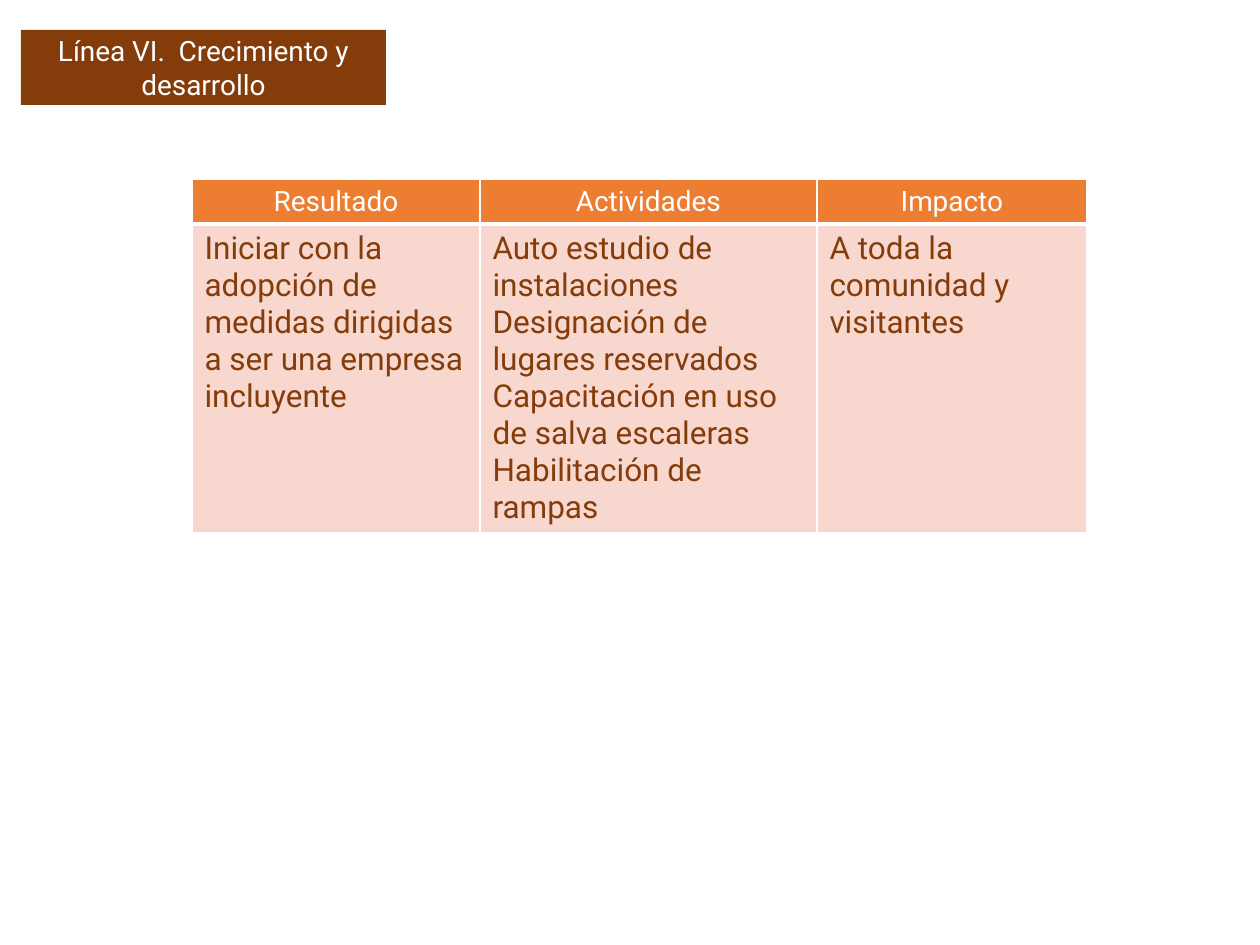
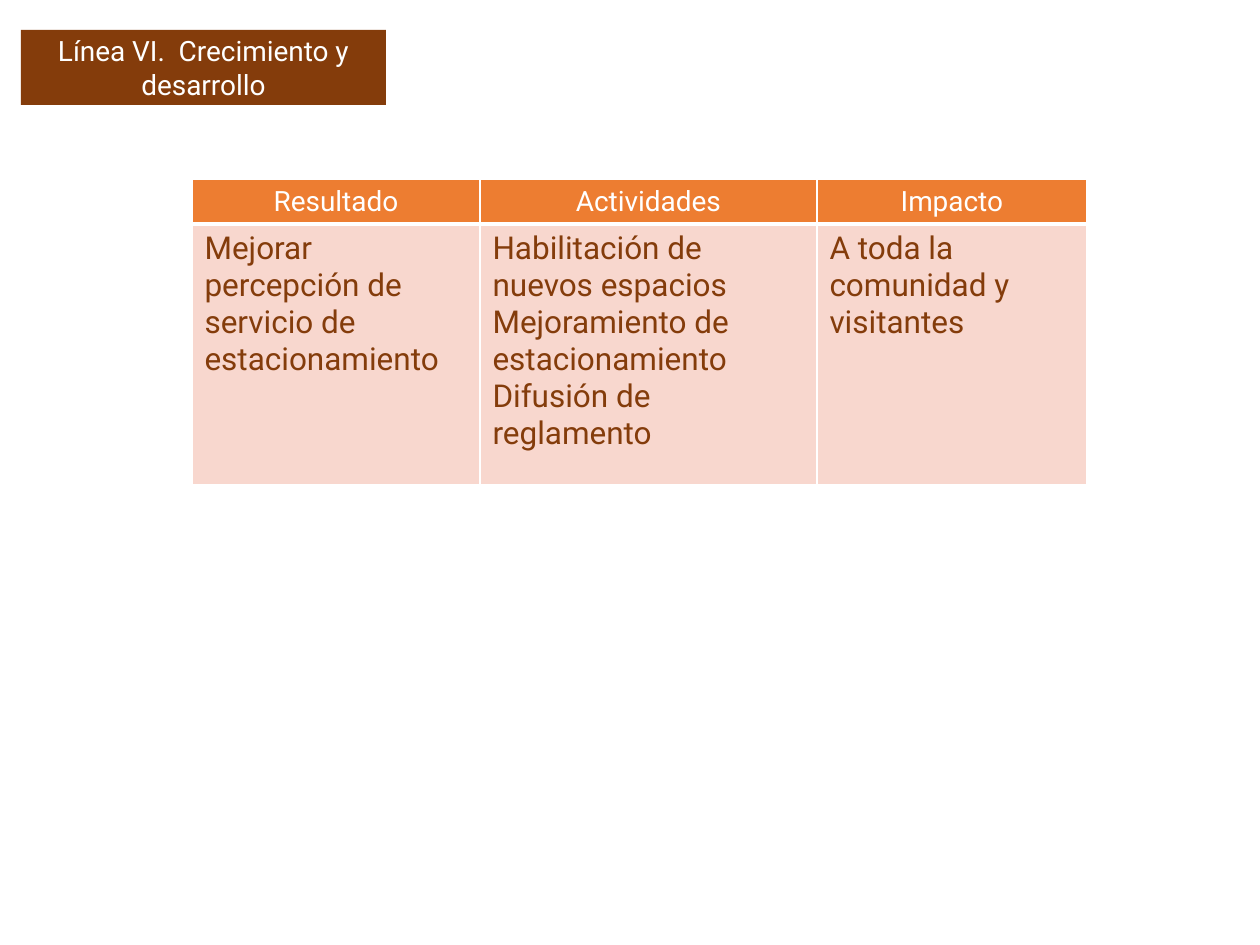
from lxml import etree
from pptx import Presentation
from pptx.dml.color import RGBColor
from pptx.enum.shapes import MSO_SHAPE
from pptx.enum.text import MSO_ANCHOR, PP_ALIGN
from pptx.oxml.ns import qn
from pptx.util import Emu, Pt

RECT = MSO_SHAPE.RECTANGLE
MIDDLE = MSO_ANCHOR.MIDDLE
LEFT, CENTER = PP_ALIGN.LEFT, PP_ALIGN.CENTER

PX = 914400 // 126
FONT = "Roboto"
BROWN = RGBColor(0x84, 0x3C, 0x0B)
ORANGE = RGBColor(0xED, 0x7D, 0x31)
PINK = RGBColor(0xF8, 0xD7, 0xCE)
WHITE = RGBColor(0xFF, 0xFF, 0xFF)

TITLE = "Línea VI.  Crecimiento y desarrollo"
HEADERS = ["Resultado", "Actividades", "Impacto"]
COLUMN_WIDTHS = [288, 337, 270]
ROW_HEIGHTS = [44, 261]
IMPACT = "A toda la comunidad y visitantes"
GOALS = [
    ("Iniciar con la adopción de medidas dirigidas a ser una empresa incluyente",
     ["Auto estudio de instalaciones",
      "Designación de lugares reservados",
      "Capacitación en uso de salva escaleras",
      "Habilitación de rampas"]),
    ("Mejorar percepción de servicio de estacionamiento",
     ["Habilitación de nuevos espacios",
      "Mejoramiento de estacionamiento",
      "Difusión de reglamento"]),
]


def px(n):
    return Emu(n * PX)


def write(tf, lines, size, color, align):
    tf.text = "\n".join(lines)
    for p in tf.paragraphs:
        p.alignment = align
        p.font.name = FONT
        p.font.size = Pt(size)
        p.font.bold = False
        p.font.color.rgb = color


def add_title_band(s, text):
    sp = s.shapes.add_shape(RECT, px(21), px(30), px(365), px(75))
    sp.shadow.inherit = False
    sp.fill.solid()
    sp.fill.fore_color.rgb = BROWN
    sp.line.fill.background()
    sp.text_frame.word_wrap = True
    sp.text_frame.vertical_anchor = MIDDLE
    write(sp.text_frame, [text], 16, WHITE, CENTER)


def set_borders(cell, bottom_width):
    tc_pr = cell._tc.get_or_add_tcPr()
    for side, width in [("L", 1), ("R", 1), ("T", 1), ("B", bottom_width)]:
        ln = etree.SubElement(tc_pr, qn(f"a:ln{side}"), w=str(Pt(width)))
        fill = etree.SubElement(ln, qn("a:solidFill"))
        etree.SubElement(fill, qn("a:srgbClr"), val=str(WHITE))


def fill_cell(cell, lines, fill, size, color, align, bottom_width):
    set_borders(cell, bottom_width)
    cell.fill.solid()
    cell.fill.fore_color.rgb = fill
    write(cell.text_frame, lines, size, color, align)


def add_goal_table(s, result, activities):
    table = s.shapes.add_table(
        2, len(HEADERS), px(192), px(179),
        px(sum(COLUMN_WIDTHS)), px(sum(ROW_HEIGHTS))).table
    table.horz_banding = False
    for row, height in zip(table.rows, ROW_HEIGHTS):
        row.height = px(height)
    body = [[result], activities, [IMPACT]]
    for i, (width, header, lines) in enumerate(zip(COLUMN_WIDTHS, HEADERS, body)):
        table.columns[i].width = px(width)
        fill_cell(table.cell(0, i), [header], ORANGE, 16, WHITE, CENTER, 3)
        fill_cell(table.cell(1, i), lines, PINK, 18, BROWN, LEFT, 1)


def main():
    prs = Presentation()
    prs.slide_width, prs.slide_height = px(1260), px(945)
    for result, activities in GOALS:
        s = prs.slides.add_slide(prs.slide_layouts[6])
        add_title_band(s, TITLE)
        add_goal_table(s, result, activities)
    prs.save("out.pptx")


if __name__ == "__main__":
    main()
